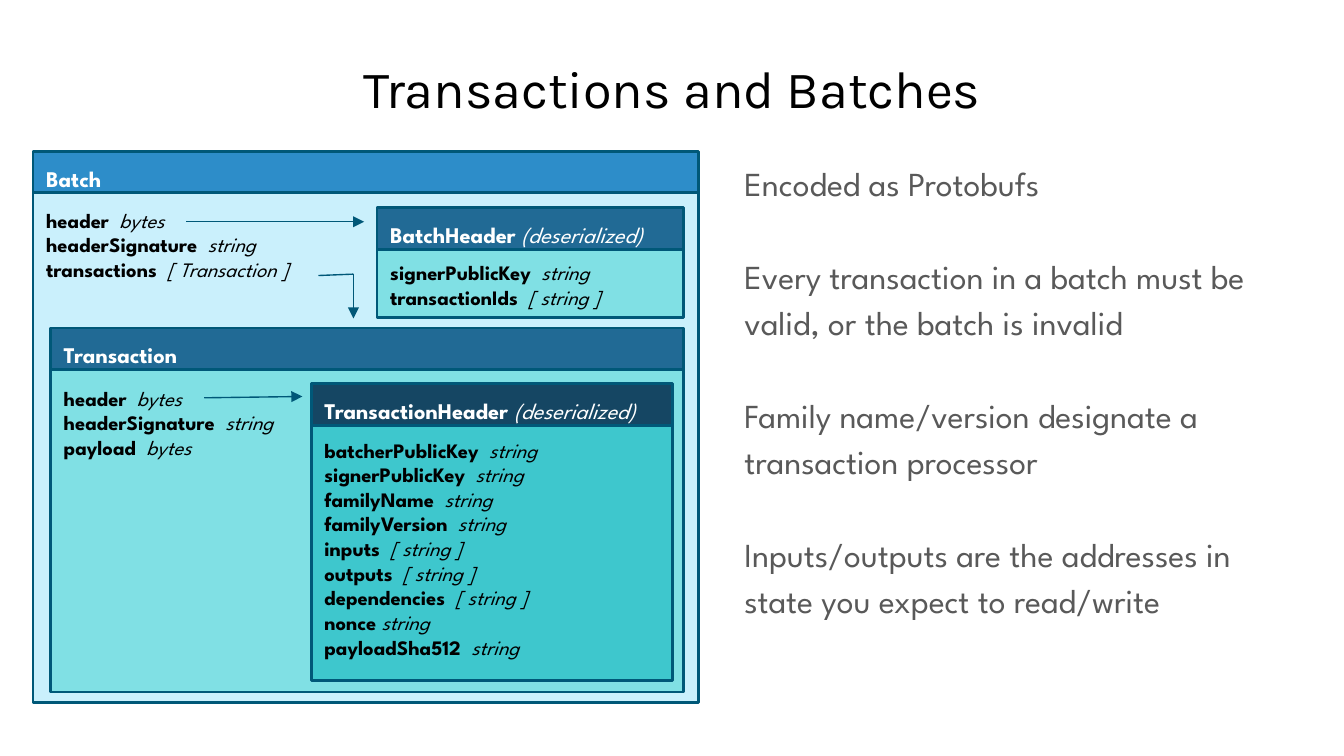
from pptx import Presentation
from pptx.dml.color import RGBColor
from pptx.enum.shapes import MSO_CONNECTOR as Connector, MSO_SHAPE as Shape
from pptx.enum.text import MSO_ANCHOR as Anchor, PP_ALIGN as Align
from pptx.oxml.ns import qn
from pptx.util import Emu, Pt
from lxml.etree import SubElement

EMU_PER_PX = 4572  # 200 px to the inch
INSET = 20
FIRST_FIELD = 56  # from the top of a panel body to its first field
BAR_HEIGHT = 62
BODY_FONT = "League Spartan"
TITLE_FONT = "Karla"

COLORS = {
    "edge": "005878",
    "batch": "CAF0FC",
    "batch_bar": "2D8DC9",
    "mid": "80E0E4",
    "mid_bar": "216A95",
    "deep": "3EC7CD",
    "deep_bar": "154663",
    "black": "000000",
    "white": "FFFFFF",
    "gray": "595959",
}

# heading, (left, top, width, bottom), body top, bar fill, body fill, fields
# A heading or field is a bold name and an italic note.
PANELS = [
    (("Batch", ""), (49, 225, 990, 1046), 253, "batch_bar", "batch", [
        ("header", "  bytes"),
        ("headerSignature", "  string"),
        ("transactions", "  [ Transaction ]"),
    ]),
    (("BatchHeader", " (deserialized)"), (561, 309, 456, 473), 331, "mid_bar", "mid", [
        ("signerPublicKey", "  string"),
        ("transactionIds", "  [ string ]"),
    ]),
    (("Transaction", ""), (75, 488, 942, 1030), 518, "mid_bar", "mid", [
        ("header", "  bytes"),
        ("headerSignature", "  string"),
        ("payload", "  bytes"),
    ]),
    (("TransactionHeader", " (deserialized)"), (463, 571, 538, 1013), 595, "deep_bar", "deep", [
        ("batcherPublicKey", "  string"),
        ("signerPublicKey", "  string"),
        ("familyName", "  string"),
        ("familyVersion", "  string"),
        ("inputs", "  [ string ]"),
        ("outputs", "  [ string ]"),
        ("dependencies", "  [ string ]"),
        ("nonce", " string"),
        ("payloadSha512", "  string"),
    ]),
]

# start, end, has an arrowhead
LINKS = [
    ((277, 330), (542, 330), True),
    ((304, 592), (450, 590), True),
    ((474, 410), (526, 408), False),
    ((526, 408), (526, 474), True),
]

POINTS = [
    "Encoded as Protobufs",
    "Every transaction in a batch must be valid, or the batch is invalid",
    "Family name/version designate a transaction processor",
    "Inputs/outputs are the addresses in state you expect to read/write",
]


def px(length):
    return Emu(length * EMU_PER_PX)


def color(name):
    return RGBColor.from_string(COLORS[name])


def set_font(font, family, size, ink):
    font.name = family
    font.size = Pt(size)
    font.color.rgb = color(ink)


def prepare_frame(frame, top_inset=INSET):
    frame.word_wrap = True
    frame.vertical_anchor = Anchor.TOP
    frame.margin_left = frame.margin_right = frame.margin_bottom = px(INSET)
    frame.margin_top = px(top_inset)


def next_para(frame, index):
    return frame.add_paragraph() if index else frame.paragraphs[0]


def add_pairs(frame, pairs, size, ink):
    """Write one paragraph per pair: a bold name, then an italic note."""
    for index, (name, note) in enumerate(pairs):
        para = next_para(frame, index)
        para.alignment = Align.LEFT
        set_font(para.font, BODY_FONT, size, ink)
        span = para.add_run()
        span.text = name
        span.font.bold = True
        if note:
            span = para.add_run()
            span.text = note
            span.font.italic = True


def add_box(page, left, top, width, height, fill, top_inset=INSET):
    box = page.shapes.add_shape(Shape.RECTANGLE, px(left), px(top), px(width), px(height))
    box.shadow.inherit = False
    box.fill.solid()
    box.fill.fore_color.rgb = color(fill)
    box.line.color.rgb = color("edge")
    box.line.width = Pt(1.5)
    prepare_frame(box.text_frame, top_inset)
    return box


def add_panel(page, heading, bounds, body_top, bar_fill, body_fill, fields):
    """Add a body with its fields, and a title bar over the body's top edge."""
    left, top, width, bottom = bounds
    body = add_box(page, left, body_top, width, bottom - body_top, body_fill, FIRST_FIELD)
    add_pairs(body.text_frame, fields, 11, "black")
    bar = add_box(page, left, top, width, BAR_HEIGHT, bar_fill)
    add_pairs(bar.text_frame, [heading], 12, "white")


def add_link(page, start, end, has_head):
    link = page.shapes.add_connector(Connector.STRAIGHT, *map(px, start + end))
    link.line.color.rgb = color("edge")
    link.line.width = Pt(0.75)
    properties = link._element.spPr
    if has_head:
        SubElement(properties.find(qn("a:ln")), qn("a:tailEnd"), type="triangle")
    SubElement(properties, qn("a:effectLst"))


def add_text(page, left, top, width, height):
    box = page.shapes.add_textbox(px(left), px(top), px(width), px(height))
    prepare_frame(box.text_frame)
    return box.text_frame


def add_title(page, text):
    para = add_text(page, 68, 64, 1864, 126).paragraphs[0]
    para.text = text
    para.alignment = Align.CENTER
    set_font(para.font, TITLE_FONT, 28, "black")


def add_points(page, points):
    frame = add_text(page, 1088, 214, 858, 822)
    for index, point in enumerate(points):
        para = next_para(frame, index)
        para.text = point
        para.line_spacing = 1.15
        para.space_after = Pt(24.8)
        set_font(para.font, BODY_FONT, 18, "gray")


def main():
    deck = Presentation()
    deck.slide_width, deck.slide_height = px(2000), px(1125)
    page = deck.slides.add_slide(deck.slide_layouts[6])
    add_title(page, "Transactions and Batches")
    for panel in PANELS:
        add_panel(page, *panel)
    for link in LINKS:
        add_link(page, *link)
    add_points(page, POINTS)
    deck.save("out.pptx")


if __name__ == "__main__":
    main()
